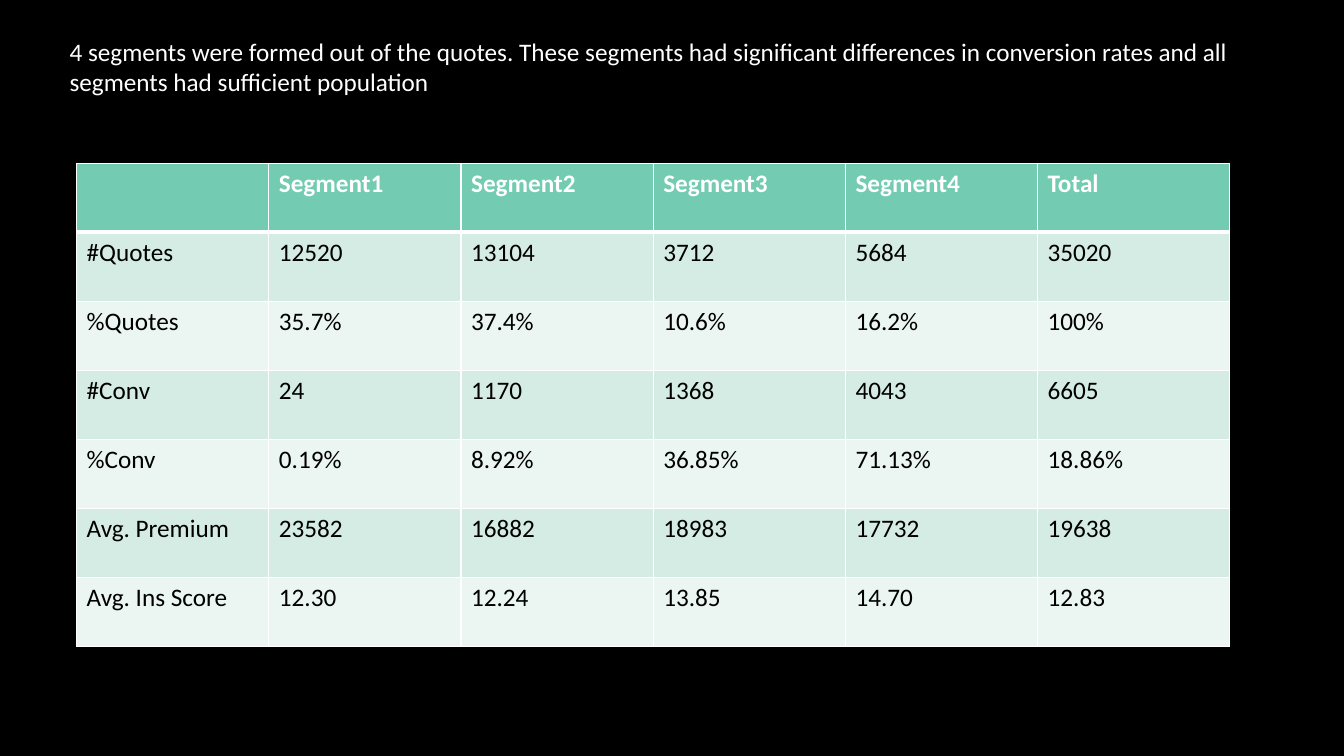
from pptx import Presentation
from pptx.dml.color import RGBColor as Rgb
from pptx.enum.text import MSO_ANCHOR as Anchor, MSO_AUTO_SIZE as Fit, PP_ALIGN as Align
from pptx.oxml.ns import qn
from pptx.util import Inches, Pt
from lxml.etree import SubElement as Sub

WHITE, BLACK = "FFFFFF", "000000"
HEAD, BANDS = "73CBB2", ("EBF6F2", "D5ECE4")


def paint(fill, tone):
    fill.solid()
    fill.fore_color.rgb = Rgb.from_string(tone)


def write(para, text, tone, bold=False):
    run = para.add_run()
    run.text = text
    run.font.name, run.font.size, run.font.bold = "Calibri", Pt(18), bold
    paint(run.font.fill, tone)


# Slide
deck = Presentation()
deck.slide_width, deck.slide_height = Inches(13.33), Inches(7.5)
slide = deck.slides.add_slide(deck.slide_layouts[5])
paint(slide.background.fill, BLACK)

# Title
title = slide.shapes.title
title.left, title.top = Inches(0.59), Inches(0.31)
title.width, title.height = Inches(12.07), Inches(0.71)
frame = title.text_frame
frame.word_wrap, frame.auto_size = True, Fit.SHAPE_TO_FIT_TEXT
frame.vertical_anchor = Anchor.TOP
para = frame.paragraphs[0]
para.alignment = Align.LEFT
write(para, "4 segments were formed out of the quotes. These segments had "
      "significant differences in conversion rates and all segments had "
      "sufficient population", WHITE)

# Segment figures
rows = [
    ["", "Segment1", "Segment2", "Segment3", "Segment4", "Total"],
    ["#Quotes", "12520", "13104", "3712", "5684", "35020"],
    ["%Quotes", "35.7%", "37.4%", "10.6%", "16.2%", "100%"],
    ["#Conv", "24", "1170", "1368", "4043", "6605"],
    ["%Conv", "0.19%", "8.92%", "36.85%", "71.13%", "18.86%"],
    ["Avg. Premium", "23582", "16882", "18983", "17732", "19638"],
    ["Avg. Ins Score", "12.30", "12.24", "13.85", "14.70", "12.83"],
]
table = slide.shapes.add_table(
    len(rows), len(rows[0]), Inches(0.76), Inches(1.62),
    Inches(11.44), Inches(4.79)).table

for r, row in enumerate(rows):
    for c, text in enumerate(row):
        cell = table.cell(r, c)
        # White grid, thick under the header
        props = cell._tc.get_or_add_tcPr()
        for side in "LRTB":
            thick = (r, side) in ((0, "B"), (1, "T"))
            line = Sub(props, qn("a:ln" + side), w=str(Pt(3 if thick else 1)))
            Sub(Sub(line, qn("a:solidFill")), qn("a:srgbClr"), val=WHITE)
        # Header and striped rows
        paint(cell.fill, BANDS[r % 2] if r else HEAD)
        if text:
            write(cell.text_frame.paragraphs[0], text,
                  BLACK if r else WHITE, bold=r == 0)

deck.save("out.pptx")
